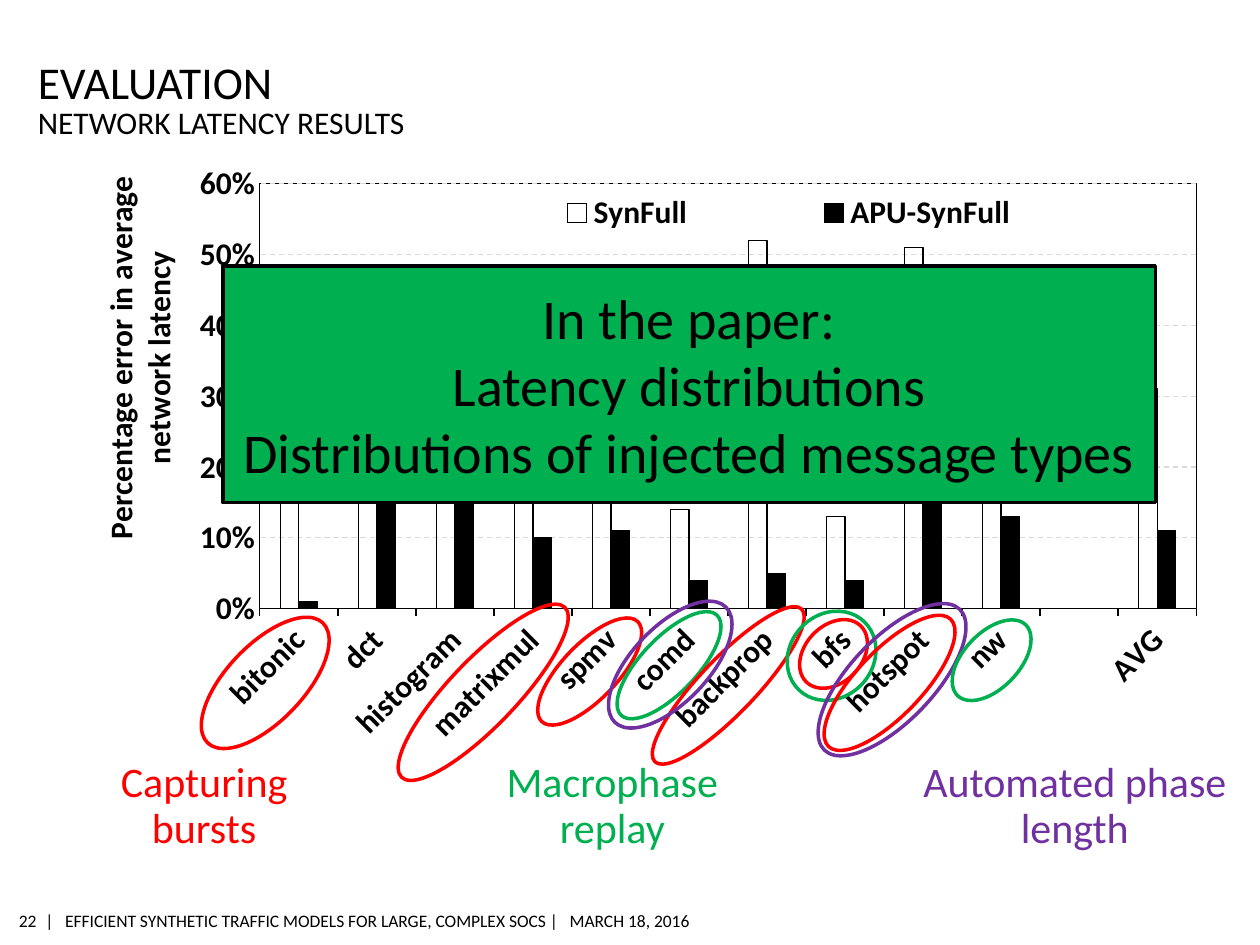
"""Build the network latency evaluation slide with its error chart and callouts."""
from lxml import etree
from pptx import Presentation
from pptx.chart.data import CategoryChartData
from pptx.dml.color import RGBColor
from pptx.enum.chart import XL_CHART_TYPE, XL_LEGEND_POSITION, XL_TICK_MARK
from pptx.enum.dml import MSO_LINE
from pptx.enum.shapes import MSO_SHAPE
from pptx.enum.text import MSO_ANCHOR, MSO_AUTO_SIZE, PP_ALIGN
from pptx.oxml import parse_xml
from pptx.oxml.ns import nsdecls, qn
from pptx.util import Inches, Pt

BLACK, RED, GREEN, PURPLE = "000000", "FF0000", "00B050", "7030A0"


def style(font, size, color=BLACK, bold=False):
    font.name, font.size, font.bold = "Calibri", Pt(size), bold
    font.color.rgb = RGBColor.from_string(color)


def manual_layout(x, y, w=None, h=None, inner=False):
    target = '<c:layoutTarget val="inner"/>' if inner else ""
    sizes = f'<c:w val="{w}"/><c:h val="{h}"/>' if w else ""
    return parse_xml(
        f'<c:layout {nsdecls("c")}><c:manualLayout>{target}<c:xMode val="edge"/>'
        f'<c:yMode val="edge"/><c:x val="{x}"/><c:y val="{y}"/>{sizes}'
        "</c:manualLayout></c:layout>")


prs = Presentation()
prs.slide_width, prs.slide_height = Inches(10), Inches(7.5)
slide = prs.slides.add_slide(prs.slide_layouts[1])
shapes = slide.shapes

title, subtitle = shapes.title, slide.placeholders[1]
for heading, words, top, height, size, inset, anchor in (
    (title, "EVALUATION", 0.34, 0.52, 26, 0.05, MSO_ANCHOR.BOTTOM),
    (subtitle, "NETWORK LATENCY RESULTS", 0.82, 0.31, 18, 0, MSO_ANCHOR.TOP),
):
    heading.left, heading.top = Inches(0.3), Inches(top)
    heading.width, heading.height = Inches(8.4), Inches(height)
    frame = heading.text_frame
    frame.text = words
    frame.auto_size = MSO_AUTO_SIZE.NONE
    frame.vertical_anchor = anchor
    frame.margin_left = frame.margin_right = frame.margin_bottom = 0
    frame.margin_top = Inches(inset)
    line = frame.paragraphs[0]
    line.alignment = PP_ALIGN.LEFT
    line.space_before = Pt(0)
    props = line._p.get_or_add_pPr()
    props.set("marL", "0")
    props.set("indent", "0")
    etree.SubElement(props, qn("a:buNone"))
    style(line.font, size)

latency = CategoryChartData(number_format="0%")
latency.categories = ["bitonic", "dct", "histogram", "matrixmul", "spmv", "comd",
                      "backprop", "bfs", "hotspot", "nw", "", "AVG"]
latency.add_series("SynFull", (0.3, 0.26, 0.2, 0.36, 0.25, 0.14,
                               0.52, 0.13, 0.51, 0.43, None, 0.31))
latency.add_series("APU-SynFull", (0.01, 0.22, 0.16, 0.1, 0.11, 0.04,
                                   0.05, 0.04, 0.23, 0.13, None, 0.11))
chart = shapes.add_chart(XL_CHART_TYPE.COLUMN_CLUSTERED, Inches(0.46), Inches(1.21),
                         Inches(9.21), Inches(4.79), latency).chart
style(chart.font, 18, bold=True)
chart.has_title = False

bars = chart.plots[0]
bars.gap_width, bars.overlap, bars.vary_by_categories = 219, 0, False
synfull, apu_synfull = bars.series
synfull.format.fill.background()
apu_synfull.format.fill.solid()
apu_synfull.format.fill.fore_color.rgb = RGBColor.from_string(BLACK)

benchmarks, error = chart.category_axis, chart.value_axis
for outline in (synfull.format.line, apu_synfull.format.line, benchmarks.format.line):
    outline.color.rgb = RGBColor.from_string(BLACK)
    outline.width = Pt(0.75)
benchmarks.major_tick_mark = XL_TICK_MARK.OUTSIDE
style(benchmarks.tick_labels.font, 18, bold=True)
benchmarks._element.find(qn("c:txPr")).find(qn("a:bodyPr")).set("rot", "-2700000")

error.minimum_scale, error.maximum_scale, error.major_unit = 0, 0.6, 0.1
error.major_tick_mark = XL_TICK_MARK.NONE
error.format.line.fill.background()
error.tick_labels.number_format = "0%"
error.tick_labels.number_format_is_linked = False
style(error.tick_labels.font, 18, bold=True)
grid = error.major_gridlines.format.line
grid.color.rgb = RGBColor.from_string("D9D9D9")
grid.width, grid.dash_style = Pt(0.75), MSO_LINE.DASH
error_title = error.axis_title.text_frame
error_title.text = "Percentage error in average network latency"
error_title._txBody.find(qn("a:bodyPr")).set("rot", "-5400000")
style(error_title.paragraphs[0].font, 18, bold=True)
title_xml = error.axis_title._element
for default_layout in title_xml.findall(qn("c:layout")):
    title_xml.remove(default_layout)
title_xml.find(qn("c:tx")).addnext(manual_layout(0.03, 0.03))

chart.has_legend = True
legend = chart.legend
legend.position, legend.include_in_layout = XL_LEGEND_POSITION.TOP, True
style(legend.font, 18, bold=True)
for default_layout in legend._element.findall(qn("c:layout")):
    legend._element.remove(default_layout)
legend._element.find(qn("c:legendPos")).addnext(manual_layout(0.33, 0.06, 0.6, 0.08))

plot_area = chart._chartSpace.chart.plotArea
for default_layout in plot_area.findall(qn("c:layout")):
    plot_area.remove(default_layout)
plot_area.insert(0, manual_layout(0.174, 0.052, 0.807, 0.704, inner=True))
plot_area.append(parse_xml(
    f'<c:spPr {nsdecls("c", "a")}><a:noFill/><a:ln w="9525"><a:solidFill>'
    f'<a:srgbClr val="{BLACK}"/></a:solidFill></a:ln></c:spPr>'))

for left, top, width, height, color in (
    (1.8, 4.76, 0.61, 1.32, RED),
    (3.57, 4.56, 0.53, 1.87, RED),
    (4.46, 4.78, 0.44, 1.1, RED),
    (5.09, 4.73, 0.44, 1.1, GREEN),
    (5.56, 4.6, 0.44, 1.68, RED),
    (6.39, 4.88, 0.45, 0.62, RED),
    (6.27, 4.83, 0.66, 0.75, GREEN),
    (6.8, 4.72, 0.52, 1.4, RED),
    (6.75, 4.62, 0.66, 1.55, PURPLE),
    (7.65, 4.85, 0.44, 0.78, GREEN),
    (5.02, 4.64, 0.6, 1.27, PURPLE),
):
    ring = shapes.add_shape(MSO_SHAPE.OVAL, Inches(left), Inches(top),
                            Inches(width), Inches(height))
    ring.rotation = 43.8
    ring.shadow.inherit = False
    ring.fill.background()
    ring.line.color.rgb = RGBColor.from_string(color)
    ring.line.width = Pt(2)

paper = shapes.add_shape(MSO_SHAPE.RECTANGLE, Inches(1.77), Inches(2.11),
                         Inches(7.4), Inches(1.88))
paper.shadow.inherit = False
paper.fill.solid()
paper.fill.fore_color.rgb = RGBColor.from_string(GREEN)
paper.line.color.rgb = RGBColor.from_string(BLACK)
paper.line.width = Pt(2)
paper.text_frame.text = ("In the paper:\nLatency distributions\n"
                         "Distributions of injected message types")
paper.text_frame.vertical_anchor = MSO_ANCHOR.MIDDLE
for line in paper.text_frame.paragraphs:
    line.alignment = PP_ALIGN.CENTER
    style(line.font, 32)

for words, left, width, color in (
    ("Capturing bursts", 0.52, 2.2, RED),
    ("Macrophase replay", 3.66, 2.4, GREEN),
    ("Automated phase length", 6.99, 3.08, PURPLE),
):
    feature = shapes.add_textbox(Inches(left), Inches(5.99), Inches(width), Inches(0.83))
    frame = feature.text_frame
    frame.word_wrap, frame.vertical_anchor = True, MSO_ANCHOR.MIDDLE
    frame.text = words
    line = frame.paragraphs[0]
    line.alignment, line.line_spacing = PP_ALIGN.CENTER, 0.9
    line.space_after = Pt(3)
    style(line.font, 24, color)

for words, left, width, alignment in (
    ("|   EFFICIENT SYNTHETIC TRAFFIC MODELS FOR LARGE, COMPLEX SOCS |   MARCH 18, 2016",
     0.36, 5.32, PP_ALIGN.LEFT),
    ("22", 0.13, 0.16, PP_ALIGN.RIGHT),
):
    footer = shapes.add_textbox(Inches(left), Inches(7.18), Inches(width), Inches(0.26))
    frame = footer.text_frame
    frame.word_wrap, frame.vertical_anchor = False, MSO_ANCHOR.MIDDLE
    frame.margin_left = frame.margin_right = 0
    frame.margin_top = frame.margin_bottom = Inches(0.04)
    frame.text = words
    frame.paragraphs[0].alignment = alignment
    style(frame.paragraphs[0].font, 10)

prs.save("out.pptx")
